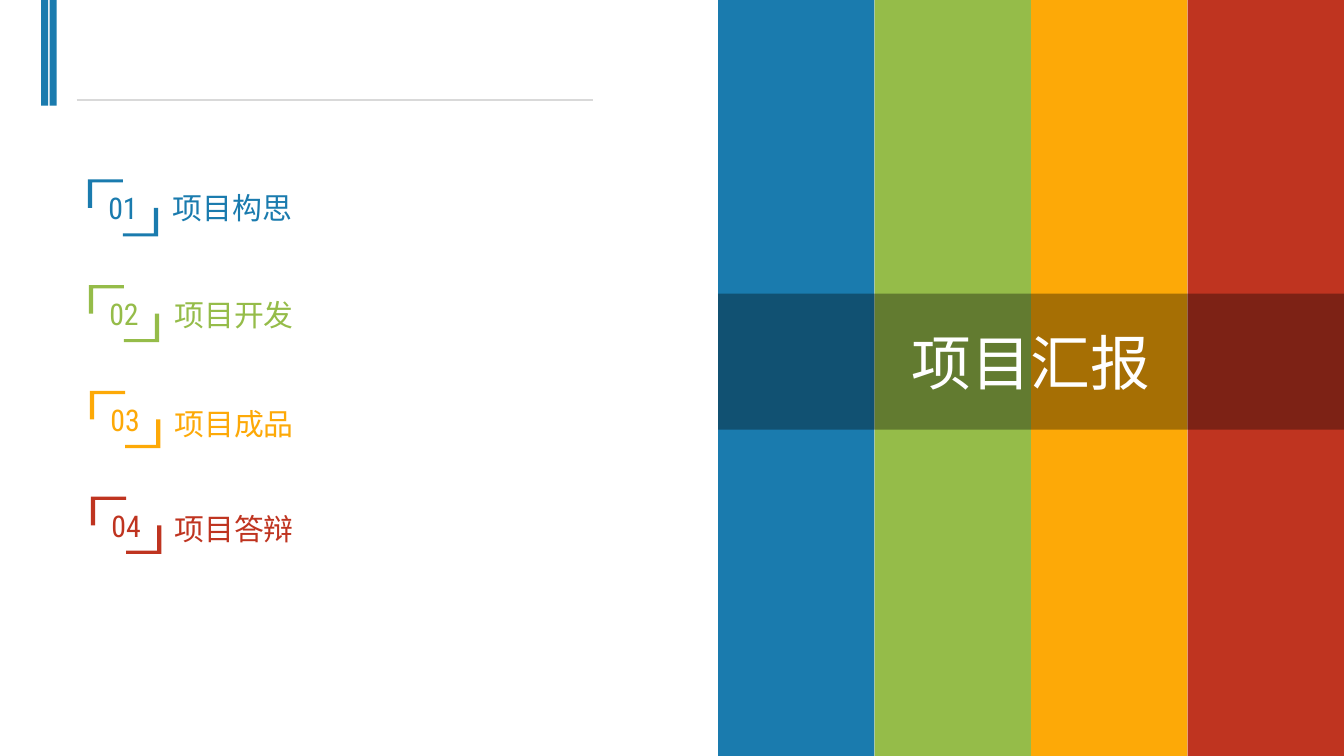
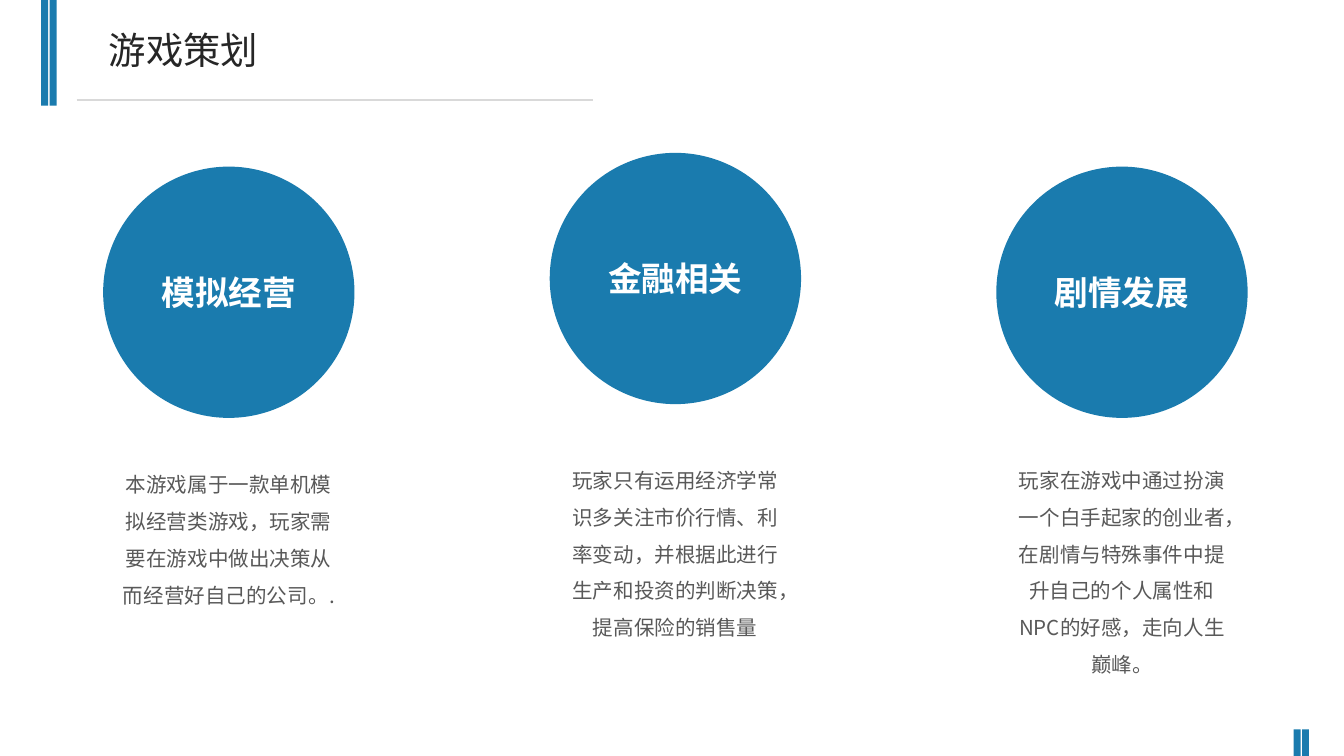
from lxml.etree import SubElement
from pptx import Presentation
from pptx.dml.color import RGBColor
from pptx.enum.shapes import MSO_CONNECTOR, MSO_SHAPE
from pptx.enum.text import MSO_ANCHOR, MSO_AUTO_SIZE, PP_ALIGN
from pptx.oxml.ns import qn
from pptx.util import Cm, Pt

# Shared style
BLUE, GREEN, ORANGE, RED = "1A7BAE", "95BC49", "FDA907", "BF3420"
WHITE, BLACK, RULE, HEADING, BODY = "FFFFFF", "000000", "D9D9D9", "262626", "595959"
CHINESE_FONT = "Noto Sans CJK SC"
FORMATS = {
    "report title": {"name": "Roboto Condensed", "size": Pt(32), "bold": False},
    "slide title": {"name": "Roboto Condensed", "size": Pt(20), "bold": False},
    "number": {"name": "Roboto Condensed", "size": Pt(16)},
    "agenda": {"name": "Arial", "size": Pt(16)},
    "circle": {"name": "Arial", "size": Pt(18), "bold": True},
    "description": {"name": CHINESE_FONT, "size": Pt(11)},
}
LEFT, CENTER = PP_ALIGN.LEFT, PP_ALIGN.CENTER
TOP, MIDDLE = MSO_ANCHOR.TOP, MSO_ANCHOR.MIDDLE

# Content (lengths in cm)
SLIDE_WIDTH, SLIDE_HEIGHT = 25.4, 14.29
REPORT_TITLE = "项目汇报"
AGENDA = [  # text, colour, left and top of the text
    ("项目构思", BLUE, 3.02, 3.46),
    ("项目开发", GREEN, 3.05, 5.49),
    ("项目成品", ORANGE, 3.05, 7.54),
    ("项目答辩", RED, 3.05, 9.53),
]
PLAN_TITLE = "游戏策划"
PLAN = [  # heading, circle top, description, description top, height
    ("模拟经营", 3.15,
     "本游戏属于一款单机模拟经营类游戏，玩家需要在游戏中做出决策从而经营好自己的公司。.",
     8.56, 3),
    ("金融相关", 2.89,
     "玩家只有运用经济学常识多关注市价行情、利率变动，并根据此进行生产和投资的判断决策，提高保险的销售量",
     8.48, 3.7),
    ("剧情发展", 3.15,
     "玩家在游戏中通过扮演一个白手起家的创业者，在剧情与特殊事件中提升自己的个人属性和NPC的好感，走向人生巅峰。",
     8.48, 4.4),
]


def rgb(color):
    return RGBColor.from_string(color)


def paint(shape, color, alpha=None):
    shape.fill.solid()
    shape.fill.fore_color.rgb = rgb(color)
    shape.line.fill.background()
    if alpha is not None:
        color_element = shape.fill._xPr.find(qn("a:solidFill"))[0]
        SubElement(color_element, qn("a:alpha"), val=str(alpha * 1000))


def write(shape, text, style, color, align=LEFT, anchor=TOP, spacing=1.0):
    frame = shape.text_frame
    frame.word_wrap = True
    frame.auto_size = MSO_AUTO_SIZE.NONE
    frame.vertical_anchor = anchor
    paragraph = frame.paragraphs[0]
    paragraph.alignment = align
    paragraph.line_spacing = spacing
    run = paragraph.add_run()
    run.text = text
    for attribute, value in FORMATS[style].items():
        setattr(run.font, attribute, value)
    run.font.color.rgb = rgb(color)
    SubElement(run._r.get_or_add_rPr(), qn("a:ea"), typeface=CHINESE_FONT)


def add_filled(slide, kind, left, top, width, height, color):
    shape = slide.shapes.add_shape(kind, Cm(left), Cm(top), Cm(width), Cm(height))
    shape.shadow.inherit = False
    paint(shape, color)
    return shape


def add_text(slide, left, top, width, height, *text_format):
    box = slide.shapes.add_textbox(Cm(left), Cm(top), Cm(width), Cm(height))
    write(box, *text_format)


def place_title(slide, left, top, width, height, *text_format):
    title = slide.shapes.title
    title.left, title.top, title.width, title.height = map(Cm, (left, top, width, height))
    write(title, *text_format)
    return title


def add_bar_pair(slide, left, top, height):
    for offset in (0, 0.16):
        add_filled(slide, MSO_SHAPE.RECTANGLE, left + offset, top, 0.13, height, BLUE)


def start_slide(presentation):
    slide = presentation.slides.add_slide(presentation.slide_layouts[5])
    add_bar_pair(slide, 0.78, 0, 2)
    rule = slide.shapes.add_connector(
        MSO_CONNECTOR.STRAIGHT, Cm(1.45), Cm(1.89), Cm(11.2), Cm(1.89))
    rule.line.color.rgb = rgb(RULE)
    rule.line.width = Pt(0.75)
    SubElement(rule._element.spPr, qn("a:effectLst"))
    return slide


def add_number_marker(slide, left, top, number, color):
    width, height, side, edge = 1.33, 1.08, 0.08, 0.06
    upper_left = [(0, 0), (width / 2, 0), (width / 2, edge), (side, edge),
                  (side, height / 2), (0, height / 2)]
    lower_right = [(width - x, height - y) for x, y in upper_left]
    corners = [[(Cm(left + x), Cm(top + y)) for x, y in corner]
               for corner in (upper_left, lower_right)]
    builder = slide.shapes.build_freeform(*corners[0][0], scale=1.0)
    builder.add_line_segments(corners[0][1:], close=True)
    builder.move_to(*corners[1][0])
    builder.add_line_segments(corners[1][1:], close=True)
    marker = builder.convert_to_shape()
    marker.shadow.inherit = False
    paint(marker, color)
    frame = marker.text_frame
    frame.margin_left = frame.margin_right = frame.margin_top = frame.margin_bottom = 0
    write(marker, number, "number", color, CENTER, MIDDLE)


def build_agenda(presentation):
    slide = start_slide(presentation)
    # Numbered list
    for index, (text, color, left, top) in enumerate(AGENDA):
        add_text(slide, left, top, 10.1, 0.94, text, "agenda", color)
        add_number_marker(slide, 1.66 + 0.02 * index, 3.39 + 2 * index,
                          f"{index + 1:02}", color)
    # Colour stripes
    stripes_left = 13.57
    stripe_width = (SLIDE_WIDTH - stripes_left) / len(AGENDA)
    for index, (_, color, _, _) in enumerate(AGENDA):
        add_filled(slide, MSO_SHAPE.RECTANGLE, stripes_left + index * stripe_width, 0,
                   stripe_width, SLIDE_HEIGHT, color)
    # Title on a dark translucent band, in front of the stripes
    title = place_title(slide, stripes_left, 5.55, SLIDE_WIDTH - stripes_left, 2.57,
                        REPORT_TITLE, "report title", WHITE, CENTER, MIDDLE)
    paint(title, BLACK, alpha=34)
    slide.shapes._spTree.append(title._element)


def build_plan(presentation):
    slide = start_slide(presentation)
    add_bar_pair(slide, 24.45, 13.79, 0.5)
    place_title(slide, 1.8, 0.38, 10.74, 1.12, PLAN_TITLE, "slide title", HEADING)
    # Circles with a description under each
    diameter, step = 4.75, 8.44
    for index, (heading, circle_top, text, text_top, height) in enumerate(PLAN):
        left = 1.95 + index * step
        circle = add_filled(slide, MSO_SHAPE.OVAL, left, circle_top, diameter, diameter, BLUE)
        write(circle, heading, "circle", WHITE, CENTER, MIDDLE)
        add_text(slide, left, text_top, diameter, height,
                 text, "description", BODY, CENTER, TOP, 1.5)


def main():
    presentation = Presentation()
    presentation.slide_width = Cm(SLIDE_WIDTH)
    presentation.slide_height = Cm(SLIDE_HEIGHT)
    build_agenda(presentation)
    build_plan(presentation)
    presentation.save("out.pptx")


if __name__ == "__main__":
    main()
